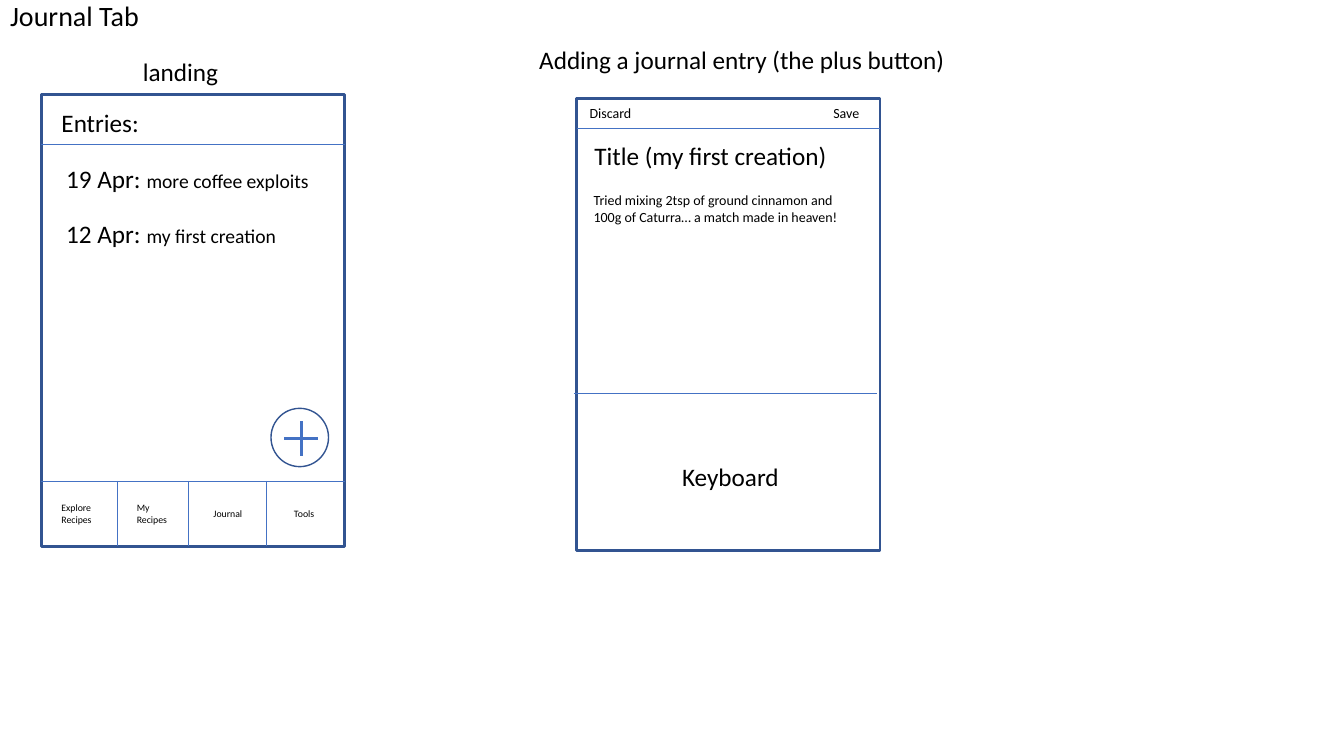
from pptx import Presentation
from pptx import util as u
from pptx.dml.color import RGBColor
from pptx.enum import shapes, text
from pptx.oxml.ns import qn
from lxml import etree


def colour(hex_value):
    return RGBColor.from_string(hex_value)


class Wireframe:
    font = "Calibri"
    ink = "000000"
    outline = "325491"
    rule = "4472C4"

    def __init__(self, slide):
        self.slide = slide

    def fill_text(self, frame, runs):
        paragraph = frame.paragraphs[0]
        paragraph.alignment = text.PP_ALIGN.LEFT
        paragraph.font.name = self.font
        paragraph.font.color.rgb = colour(self.ink)
        for wording, size in runs:
            run = paragraph.add_run()
            run.text = wording
            run.font.size = u.Pt(size)
        return paragraph

    def title(self, wording, width, height, size):
        heading = self.slide.shapes.title
        heading.left, heading.top = u.Cm(0), u.Cm(0)
        heading.width, heading.height = u.Cm(width), u.Cm(height)
        heading.text_frame.vertical_anchor = text.MSO_ANCHOR.MIDDLE
        self.fill_text(heading.text_frame, [(wording, size)]).line_spacing = 0.9

    def label(self, left, top, width, height, *runs):
        box = self.slide.shapes.add_textbox(
            u.Cm(left), u.Cm(top), u.Cm(width), u.Cm(height))
        box.text_frame.word_wrap = True
        box.text_frame.auto_size = text.MSO_AUTO_SIZE.SHAPE_TO_FIT_TEXT
        self.fill_text(box.text_frame, runs)

    def outlined(self, kind, left, top, width, height, weight):
        figure = self.slide.shapes.add_shape(
            kind, u.Cm(left), u.Cm(top), u.Cm(width), u.Cm(height))
        figure.shadow.inherit = False
        figure.fill.background()
        figure.line.color.rgb = colour(self.outline)
        figure.line.width = u.Pt(weight)

    def phone(self, left, top):
        self.outlined(shapes.MSO_SHAPE.RECTANGLE, left, top,
                      PHONE_WIDTH, PHONE_HEIGHT, 2)

    def line(self, x1, y1, x2, y2, weight=0.5):
        stroke = self.slide.shapes.add_connector(
            shapes.MSO_CONNECTOR.STRAIGHT,
            u.Cm(x1), u.Cm(y1), u.Cm(x2), u.Cm(y2))
        stroke.line.color.rgb = colour(self.rule)
        stroke.line.width = u.Pt(weight)
        etree.SubElement(stroke._element.spPr, qn("a:effectLst"))

    def across(self, left, y):
        self.line(left, y, left + PHONE_WIDTH, y)


PHONE_WIDTH, PHONE_HEIGHT = 7.65, 11.38
LANDING_LEFT, LANDING_TOP = 1.04, 2.39
ENTRY_LEFT, ENTRY_TOP = 14.53, 2.49
TAB_TOP = 12.12


def draw_landing(page):
    page.label(3.35, 1.3, 2.54, 1.02, ("landing", 18))
    page.phone(LANDING_LEFT, LANDING_TOP)
    page.label(1.3, 2.57, 6.88, 1.02, ("Entries:", 18))
    page.across(LANDING_LEFT, 3.63)

    entries = [("19 Apr: ", "more coffee exploits"),
               ("12 Apr: ", "my first creation")]
    for row, (date, entry) in enumerate(entries):
        page.label(1.42, 3.99 + 1.39 * row, 6.88, 1.02, (date, 18), (entry, 14))

    page.outlined(shapes.MSO_SHAPE.OVAL, 6.83, 10.29, 1.45, 1.47, 1)
    plus_x, plus_y, arm = 7.59, 11.05, 0.43
    page.line(plus_x, plus_y - arm, plus_x, plus_y + arm, 2)
    page.line(plus_x - arm, plus_y, plus_x + arm, plus_y, 2)

    page.across(LANDING_LEFT, TAB_TOP)
    for divider in (2.95, 4.75, 6.71):
        page.line(divider, TAB_TOP, divider, LANDING_TOP + PHONE_HEIGHT)
    tabs = [("Explore Recipes", 1.3, 12.52, 1.5, 0.86),
            ("My Recipes", 3.2, 12.52, 1.5, 0.86),
            ("Journal", 5.13, 12.67, 1.88, 0.56),
            ("Tools", 7.16, 12.66, 1.88, 0.56)]
    for tab, *place in tabs:
        page.label(*place, (tab, 7))


def draw_new_entry(page):
    page.label(13.34, 0.99, 12.45, 1.02,
               ("Adding a journal entry (the plus button)", 18))
    page.phone(ENTRY_LEFT, ENTRY_TOP)
    for action, left in (("Discard", 14.61), ("Save", 20.75)):
        page.label(left, 2.51, 1.75, 1.45, (action, 10))
    page.across(ENTRY_LEFT, 3.23)
    page.label(14.73, 3.4, 6.6, 1.02, ("Title (my first creation)", 18))
    page.label(14.71, 4.7, 7.11, 1.12,
               ("Tried mixing 2tsp of ground cinnamon and 100g of Caturra… "
                "a match made in heaven!", 10))
    page.across(14.46, 9.91)
    page.label(16.94, 11.51, 3.02, 1.02, ("Keyboard", 18), (" ", 7))


def main():
    deck = Presentation()
    deck.slide_width, deck.slide_height = u.Cm(33.87), u.Cm(19.05)
    page = Wireframe(deck.slides.add_slide(deck.slide_layouts[5]))
    page.title("Journal Tab", 20.04, 0.89, 20)
    draw_landing(page)
    draw_new_entry(page)
    deck.save("out.pptx")


if __name__ == "__main__":
    main()
